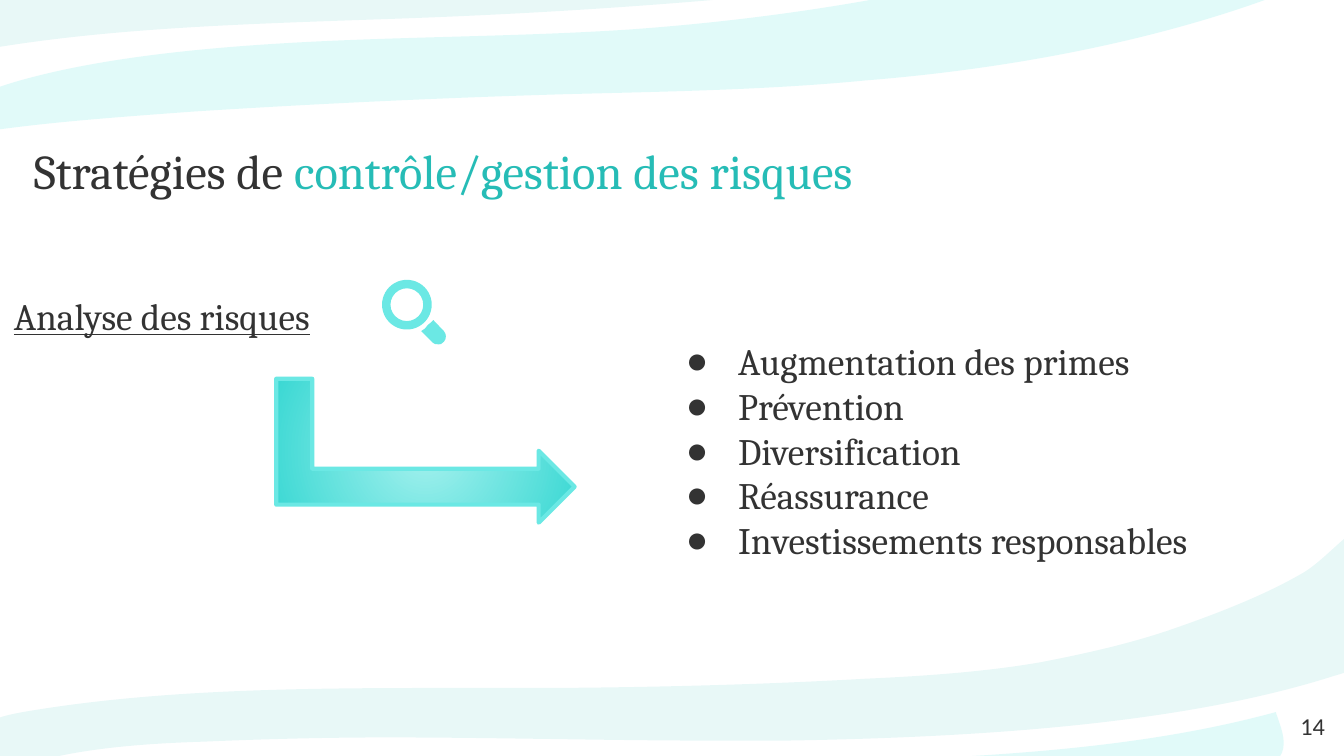
from dataclasses import dataclass

from lxml import etree
from pptx import Presentation
from pptx import util as u
from pptx.dml.color import RGBColor
from pptx.enum import shapes, text
from pptx.oxml import ns


@dataclass(frozen=True)
class Theme:
    ink: str = "333333"
    teal: str = "26BCB6"
    aqua: str = "6BE8E4"
    glow: str = "A4F1EE"
    deep: str = "3AD8D3"
    serif: str = "Cambria"
    sans: str = "Calibri"
    title: int = 26
    body: int = 20
    number: int = 13


T = Theme()
W, H = 25.4, 14.29

BOTTOM_WAVE = [
    (26.26, 9.68),
    (25.6, 9.83, 25.1, 10.57, 24.59, 10.85),
    (23.93, 11.23, 23.11, 11.56, 22.25, 11.86),
    (21.46, 12.14, 20.6, 12.34, 19.66, 12.52),
    (18.62, 12.7, 17.48, 12.78, 16.36, 12.83),
    (14.6, 12.93, 12.83, 12.98, 11.05, 13),
    (7.57, 13.03, 3.96, 12.9, 0.74, 13.41),
    (0.43, 13.46, 0.1, 13.51, -0.13, 13.61),
    (-0.99, 13.97, -0.25, 14.55, -0.66, 15.04),
    (-0.3, 14.73, 0.3, 14.45, 1.07, 14.3),
    (1.91, 14.12, 2.87, 14.05, 3.84, 14.02),
    (5, 13.97, 6.15, 13.94, 7.32, 13.94),
    (9.4, 13.94, 11.46, 14, 13.54, 14),
    (13.97, 14, 14.4, 14, 14.83, 14),
    (18.52, 13.94, 22.35, 13.69, 25.2, 12.78),
    (25.48, 12.7, 25.78, 12.6, 25.93, 12.47),
    (26.04, 12.37, 26.09, 12.24, 26.19, 12.12),
    (26.49, 11.38, 26.85, 10.41, 26.26, 9.68),
]
TOP_WAVE = [
    (25.93, -3.68),
    (25.83, -3.68, 25.7, -3.63, 25.5, -3.51),
    (25.1, -3.25, 24.94, -2.95, 24.51, -2.67),
    (21.69, -0.99, 16.99, 0.2, 11.86, 0.56),
    (9.88, 0.69, 7.85, 0.69, 5.87, 0.79),
    (3.89, 0.89, 1.85, 1.09, 0.28, 1.55),
    (-0.66, 1.83, -1.47, 2.24, -1.45, 2.69),
    (0.1, 2.36, 1.88, 2.24, 3.63, 2.11),
    (5.97, 1.96, 8.33, 1.85, 10.69, 1.78),
    (12.6, 1.73, 14.5, 1.7, 16.36, 1.52),
    (19.48, 1.27, 22.35, 0.64, 24.56, -0.25),
    (25.02, -0.43, 25.48, -0.64, 25.73, -0.89),
    (25.93, -1.12, 26.01, -1.35, 26.04, -1.57),
    (26.11, -1.88, 26.16, -2.18, 26.19, -2.51),
    (26.21, -2.79, 26.47, -3.28, 26.24, -3.53),
    (26.14, -3.63, 26.04, -3.68, 25.93, -3.68),
]
RIBBON = [
    (19.41, 0),
    (17.73, 0.18, 15.9, 0.25, 14.02, 0.25),
    (11.84, 0.25, 9.63, 0.18, 7.57, 0.18),
    (7.42, 0.18, 7.29, 0.18, 7.14, 0.18),
    (6.99, 0.18, 6.83, 0.18, 6.68, 0.18),
    (6.35, 0.18, 5.99, 0.18, 5.64, 0.18),
    (4.22, 0.18, 2.72, 0.2, 1.52, 0.38),
    (0, 0.61, 0.3, 1.14, 0.48, 1.68),
    (3.38, 0.89, 6.58, 0.81, 10.03, 0.69),
    (13.21, 0.58, 16.36, 0.36, 19.41, 0),
]
HANDLE = [
    (0.97, 0.76),
    (0.94, 0.79, 0.89, 0.84, 0.86, 0.86),
    (0.84, 0.91, 0.79, 0.94, 0.74, 0.97),
    (0.94, 1.17),
    (0.99, 1.22, 1.02, 1.22, 1.07, 1.22),
    (1.09, 1.22, 1.14, 1.22, 1.17, 1.17),
    (1.22, 1.12, 1.22, 1.02, 1.17, 0.97),
]


def cm(*values):
    return [u.Cm(v) for v in values]


def child(parent, tag, **attrs):
    return etree.SubElement(parent, ns.qn(tag), attrs)


def paint(sp, color, alpha=100):
    sp.shadow.inherit = False
    sp.fill.solid()
    sp.fill.fore_color.rgb = RGBColor.from_string(color)
    sp.line.fill.background()
    if alpha < 100:
        clr = sp.fill._xPr.find(".//" + ns.qn("a:srgbClr"))
        child(clr, "a:alpha", val=str(alpha * 1000))


def bend(sp, outline):
    lines = iter(list(sp._element.iter(ns.qn("a:lnTo"))))
    for seg in outline[1:]:
        first = next(lines)
        if len(seg) == 6:
            first.tag = ns.qn("a:cubicBezTo")
            for line in (next(lines), next(lines)):
                first.append(line[0])
                line.getparent().remove(line)


def add_outline(parent, outline, x, y, color, alpha=100, rotation=0):
    pts = [cm(*seg[i:i + 2]) for seg in outline for i in range(0, len(seg), 2)]
    fb = parent.build_freeform(*pts[0])
    fb.add_line_segments(pts[1:], close=True)
    sp = fb.convert_to_shape(*cm(x, y))
    bend(sp, outline)
    sp.rotation = rotation
    paint(sp, color, alpha)


def write(sp, box, paras, size=T.body, font=T.serif, color=T.ink, align=text.PP_ALIGN.LEFT,
          anchor=text.MSO_ANCHOR.MIDDLE, underline=None, spacing=1, bullet=None):
    sp.left, sp.top, sp.width, sp.height = cm(*box)
    tf = sp.text_frame
    tf.word_wrap = True
    tf.auto_size = text.MSO_AUTO_SIZE.NONE
    tf.vertical_anchor = anchor
    tf.margin_left = tf.margin_right = tf.margin_top = tf.margin_bottom = u.Cm(0.25)
    for i, runs in enumerate(paras):
        p = tf.add_paragraph() if i else tf.paragraphs[0]
        p.alignment, p.line_spacing = align, spacing
        p.space_before = p.space_after = u.Pt(0)
        pPr = p._p.get_or_add_pPr()
        pPr.set("marL", str(u.Cm(1.27 if bullet else 0)))
        pPr.set("indent", str(u.Cm(-0.99 if bullet else 0)))
        if bullet:
            child(child(pPr, "a:buClr"), "a:srgbClr", val=color)
            child(pPr, "a:buChar", char=bullet)
        else:
            child(pPr, "a:buNone")
        for words, run_color in runs:
            r = p.add_run()
            r.text = words
            r.font.size, r.font.name, r.font.underline = u.Pt(size), font, underline
            r.font.color.rgb = RGBColor.from_string(run_color or color)


def add_background(s, x, y, w, h):
    add_outline(s.shapes, BOTTOM_WAVE, x, y, T.teal, 10)
    add_outline(s.shapes, TOP_WAVE, x, y, T.aqua, 20)
    add_outline(s.shapes, RIBBON, x - 2.67, y - 0.33, T.teal, 10)
    add_outline(s.shapes, RIBBON, x + 5.18, y + h - 0.83, T.aqua, 20, 180)


def add_arrow(s, x, y, w, h):
    sp = s.shapes.add_shape(shapes.MSO_SHAPE.BENT_UP_ARROW,
                            *cm(x + (w - h) / 2, y + (h - w) / 2, h, w))
    sp.rotation = 90
    sp.shadow.inherit = False
    sp.fill.gradient()
    for stop, color in zip(sp.fill.gradient_stops, (T.glow, T.deep)):
        stop.color.rgb = RGBColor.from_string(color)
    grad = sp.fill._xPr.find(ns.qn("a:gradFill"))
    grad.remove(grad.find(ns.qn("a:lin")))
    center = dict.fromkeys("ltrb", "50000")
    child(child(grad, "a:path", path="circle"), "a:fillToRect", **center)
    sp.line.color.rgb = RGBColor.from_string(T.aqua)
    sp.line.width = u.Pt(2.25)


def add_magnifier(s, x, y, size):
    g = s.shapes.add_group_shape()
    lens = size * 0.77
    add_outline(g.shapes, HANDLE, x, y, T.aqua)
    sp = g.shapes.add_shape(shapes.MSO_SHAPE.DONUT, *cm(x, y, lens, lens))
    sp.adjustments[0] = 0.17
    paint(sp, T.aqua)


def add_strategy_slide(prs, x, y, w, h):
    s = prs.slides.add_slide(prs.slide_layouts[3])
    title, heading, strategies = s.placeholders
    add_background(s, x, y, w, h)
    write(title, (x + 0.39, y + 1.49, 21.41, 3.45),
          [[("Stratégies de ", None), ("contrôle/gestion des risques", T.teal)]], size=T.title)
    write(heading, (x + 0.01, y + 4.65, 9.4, 2.51), [[("Analyse des risques", None)]],
          underline=True, spacing=1.15)
    items = ["Augmentation des primes", "Prévention", "Diversification",
             "Réassurance", "Investissements responsables"]
    write(strategies, (x + 12.43, y + 4.51, 11.91, 8), [[(item, None)] for item in items],
          bullet="●")
    add_arrow(s, x + 5.22, y + 7.16, 5.64, 2.72)
    add_magnifier(s, x + 7.22, y + 5.29, 1.22)
    number = s.shapes.add_textbox(0, 0, 0, 0)
    write(number, (x + w - 1.63, y + h - 1.1, 1.52, 1.09), [[("14", None)]], size=T.number,
          font=T.sans, align=text.PP_ALIGN.RIGHT, anchor=text.MSO_ANCHOR.TOP)


def main():
    prs = Presentation()
    prs.slide_width, prs.slide_height = cm(W, H)
    add_strategy_slide(prs, 0, 0, W, H)
    prs.save("out.pptx")


if __name__ == "__main__":
    main()
